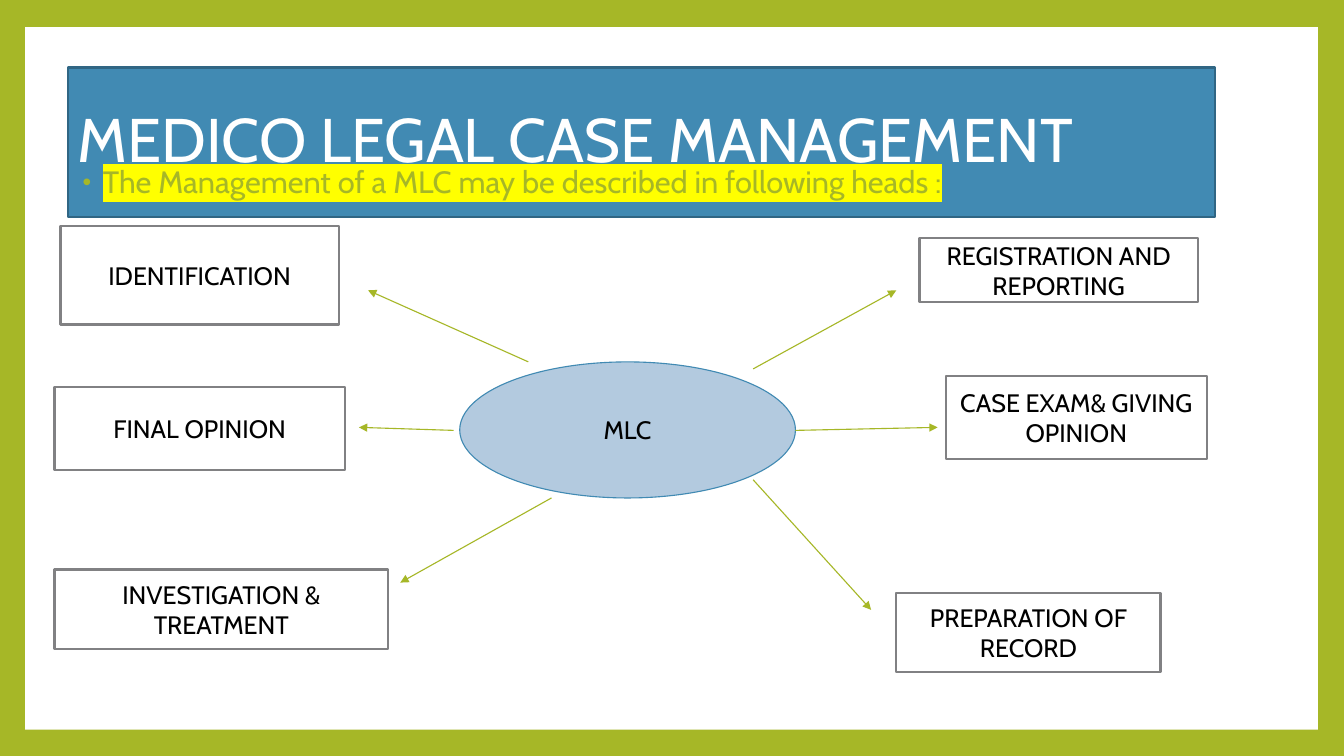
from lxml import etree
from pptx import Presentation
from pptx import util as u
from pptx.dml.color import RGBColor
from pptx.enum import shapes, text
from pptx.oxml import ns

FONT = "Cabin"
COLORS = {
    "green": "A6B727", "white": "FFFFFF", "black": "000000", "yellow": "FFFF00",
    "blue": "418AB3", "dark_blue": "306684", "pale_blue": "B3CADF", "gray": "818183",
}
# Heads around the centre: wording, left, top, width, height
HEADS = [
    ("REGISTRATION AND REPORTING", 9.12, 2.36, 2.76, 0.64),
    ("CASE EXAM& GIVING OPINION", 9.38, 3.73, 2.59, 0.82),
    ("PREPARATION OF RECORD", 8.89, 5.88, 2.62, 0.79),
    ("IDENTIFICATION", 0.6, 2.24, 2.76, 0.98),
    ("FINAL OPINION", 0.54, 3.84, 2.88, 0.82),
    ("INVESTIGATION & TREATMENT", 0.54, 5.65, 3.31, 0.79),
]
# Arrows from the centre: start x, y, end x, y
ARROWS = [
    (7.47, 3.66, 8.89, 2.88), (7.89, 4.27, 9.3, 4.24), (7.47, 4.76, 8.64, 6.05),
    (5.47, 4.94, 3.97, 5.78), (5.24, 3.59, 3.65, 2.88), (4.5, 4.27, 3.56, 4.24),
]


def rgb(color):
    return RGBColor.from_string(COLORS[color])


def add_xml(parent, tag, **attributes):
    return etree.SubElement(parent, ns.qn(tag), attributes)


def place(shape, left, top, width, height):
    shape.left, shape.top = u.Inches(left), u.Inches(top)
    shape.width, shape.height = u.Inches(width), u.Inches(height)


def paint(shape, fill, line=None, weight=1.5):
    shape.fill.solid()
    shape.fill.fore_color.rgb = rgb(fill)
    if line:
        shape.line.color.rgb = rgb(line)
        shape.line.width = u.Pt(weight)
    else:
        shape.line.fill.background()


def write(shape, wording, size=18, color="black", align=text.PP_ALIGN.CENTER,
          anchor=text.MSO_ANCHOR.MIDDLE, spacing=1.0, bullet=None, highlight=None):
    frame = shape.text_frame
    frame.word_wrap = True
    frame.auto_size = text.MSO_AUTO_SIZE.NONE
    frame.vertical_anchor = anchor
    paragraph = frame.paragraphs[0]
    if bullet:
        props = paragraph._p.get_or_add_pPr()
        props.set("marL", str(u.Inches(0.25)))
        props.set("indent", str(u.Inches(-0.2)))
        add_xml(add_xml(props, "a:buClr"), "a:srgbClr", val=COLORS[color])
        add_xml(props, "a:buSzPct", val="80000")
        add_xml(props, "a:buFont", typeface="Arial")
        add_xml(props, "a:buChar", char=bullet)
    paragraph.alignment = align
    paragraph.line_spacing = spacing
    paragraph.space_before = u.Pt(0)
    run = paragraph.add_run()
    run.text = wording
    run.font.size = u.Pt(size)
    run.font.color.rgb = rgb(color)
    if highlight:
        mark = add_xml(run._r.get_or_add_rPr(), "a:highlight")
        add_xml(mark, "a:srgbClr", val=COLORS[highlight])
    run.font.name = FONT


def add_block(slide, kind, box, fill, line=None, weight=1.5):
    block = slide.shapes.add_shape(kind, *map(u.Inches, box))
    block.shadow.inherit = False
    paint(block, fill, line, weight)
    return block


def add_arrow(slide, points):
    arrow = slide.shapes.add_connector(
        shapes.MSO_CONNECTOR.STRAIGHT, *map(u.Inches, points))
    arrow.line.color.rgb = rgb("green")
    arrow.line.width = u.Pt(0.79)
    add_xml(arrow.line._get_or_add_ln(), "a:tailEnd", type="triangle")
    add_xml(arrow._element.spPr, "a:effectLst")


def main():
    prs = Presentation()
    prs.slide_width, prs.slide_height = u.Inches(13.33), u.Inches(7.5)
    slide = prs.slides.add_slide(prs.slide_layouts[1])
    rect = shapes.MSO_SHAPE.RECTANGLE

    # Green frame around a white panel, behind the placeholders
    slide.background.fill.solid()
    slide.background.fill.fore_color.rgb = rgb("green")
    panel = add_block(slide, rect, (0.25, 0.27, 12.82, 6.97), "white")
    slide.shapes.title._element.addprevious(panel._element)

    # Title banner and introduction
    title = slide.shapes.title
    place(title, 0.67, 0.67, 11.38, 1.48)
    paint(title, "blue", "dark_blue")
    write(title, "MEDICO LEGAL CASE MANAGEMENT", size=44, color="white",
          align=text.PP_ALIGN.LEFT, spacing=0.9)
    intro = slide.placeholders[1]
    place(intro, 0.67, 1.61, 11.47, 5.06)
    write(intro, "The Management of a MLC may be described in following heads :",
          size=22, color="green", align=text.PP_ALIGN.LEFT,
          anchor=text.MSO_ANCHOR.TOP, spacing=0.9, bullet="•", highlight="yellow")

    # Centre, its heads and the arrows to them
    centre = add_block(slide, shapes.MSO_SHAPE.OVAL, (4.56, 3.59, 3.33, 1.35),
                       "pale_blue", "blue", 0.79)
    write(centre, "MLC")
    for wording, *box in HEADS:
        write(add_block(slide, rect, box, "white", "gray"), wording)
    for points in ARROWS:
        add_arrow(slide, points)

    prs.save("out.pptx")


if __name__ == "__main__":
    main()
